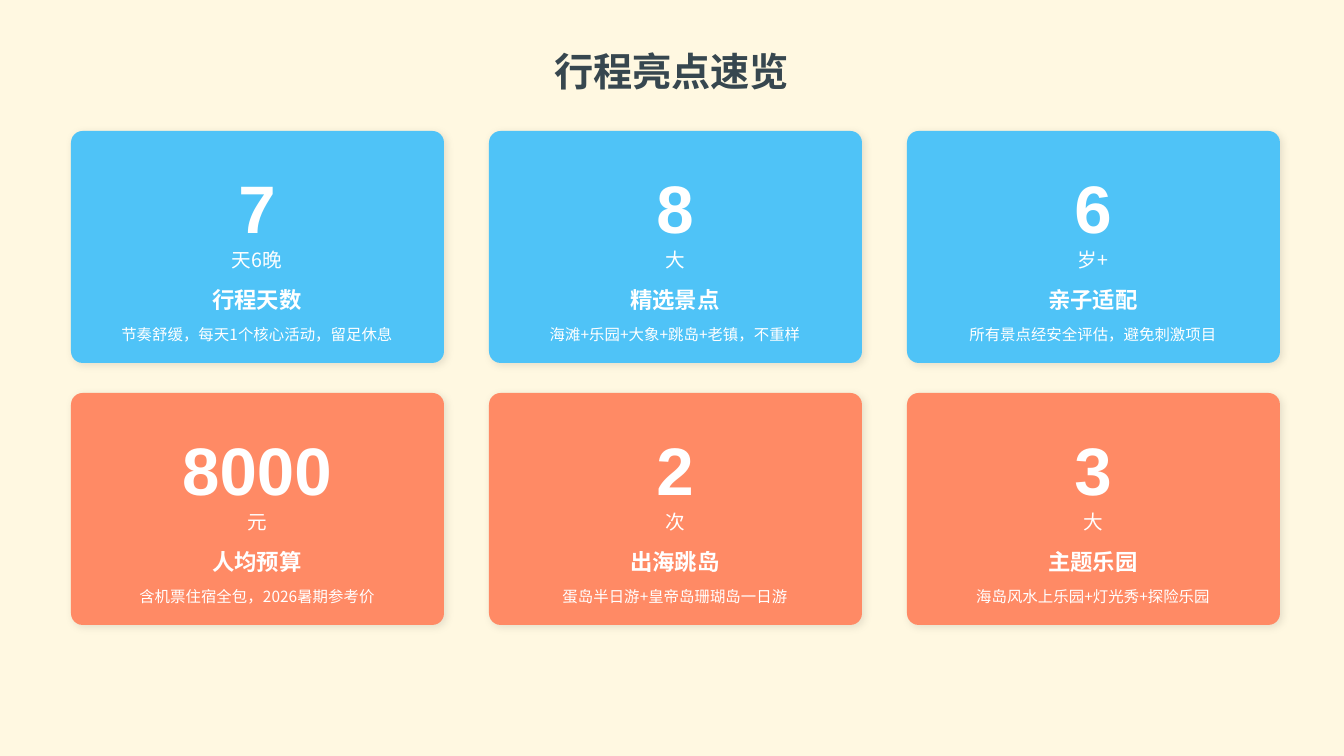
from lxml import etree
from pptx import Presentation
from pptx.dml.color import RGBColor
from pptx.enum.shapes import MSO_SHAPE
from pptx.enum.text import MSO_ANCHOR, PP_ALIGN
from pptx.oxml import parse_xml
from pptx.oxml.ns import nsdecls, qn
from pptx.util import Emu, Pt

CREAM = RGBColor(0xFF, 0xF8, 0xE1)
SLATE = RGBColor(0x37, 0x47, 0x4F)
SKY = RGBColor(0x4F, 0xC3, 0xF7)
CORAL = RGBColor(0xFF, 0x8A, 0x65)
WHITE = RGBColor(0xFF, 0xFF, 0xFF)

CJK = "Noto Sans CJK SC"
LATIN = "Arial"

CARD_LEFT, CARD_TOP = 71, 131
CARD_WIDTH, CARD_HEIGHT = 373, 232
COLUMN_STEP, ROW_STEP = 418, 262
TEXT_INSET, TEXT_WIDTH = 30, 312

CARD_LINES = [
    (30, 91, 48, True, LATIN),
    (111, 35, 14, False, CJK),
    (151, 35, 16, True, CJK),
    (186, 35, 11, False, CJK),
]

CARD_ROWS = [
    (SKY, [
        ("7", "天6晚", "行程天数", "节奏舒缓，每天1个核心活动，留足休息"),
        ("8", "大", "精选景点", "海滩+乐园+大象+跳岛+老镇，不重样"),
        ("6", "岁+", "亲子适配", "所有景点经安全评估，避免刺激项目"),
    ]),
    (CORAL, [
        ("8000", "元", "人均预算", "含机票住宿全包，2026暑期参考价"),
        ("2", "次", "出海跳岛", "蛋岛半日游+皇帝岛珊瑚岛一日游"),
        ("3", "大", "主题乐园", "海岛风水上乐园+灯光秀+探险乐园"),
    ]),
]


def px(pixels):
    return Emu(round(pixels * 914400 / 100.8))


def add_label(slide, text, left, top, width, height, size, bold, font, color):
    box = slide.shapes.add_textbox(px(left), px(top), px(width), px(height))
    frame = box.text_frame
    frame.word_wrap = True
    frame.vertical_anchor = MSO_ANCHOR.MIDDLE
    paragraph = frame.paragraphs[0]
    paragraph.alignment = PP_ALIGN.CENTER
    run = paragraph.add_run()
    run.text = text
    run.font.size = Pt(size)
    run.font.bold = bold
    run.font.name = font
    run.font.color.rgb = color
    east_asian = etree.SubElement(run.font._element, qn("a:ea"))
    east_asian.set("typeface", font)


def add_soft_shadow(shape):
    shape.shadow.inherit = False
    effects = shape._element.spPr.find(qn("a:effectLst"))
    effects.append(parse_xml(
        f'<a:outerShdw {nsdecls("a")} blurRad="{Pt(6)}" dist="{Pt(2)}" '
        'dir="2700000" algn="ctr" rotWithShape="0">'
        '<a:srgbClr val="000000"><a:alpha val="10000"/></a:srgbClr>'
        '</a:outerShdw>'))


def add_card(slide, left, top, color, texts):
    card = slide.shapes.add_shape(
        MSO_SHAPE.ROUNDED_RECTANGLE,
        px(left), px(top), px(CARD_WIDTH), px(CARD_HEIGHT))
    card.adjustments[0] = 0.05
    card.fill.solid()
    card.fill.fore_color.rgb = color
    card.line.fill.background()
    add_soft_shadow(card)
    for text, (offset, height, size, bold, font) in zip(texts, CARD_LINES):
        add_label(slide, text, left + TEXT_INSET, top + offset,
                  TEXT_WIDTH, height, size, bold, font, WHITE)


def main():
    deck = Presentation()
    deck.slide_width, deck.slide_height = px(1344), px(756)
    slide = deck.slides.add_slide(deck.slide_layouts[6])
    slide.background.fill.solid()
    slide.background.fill.fore_color.rgb = CREAM

    add_label(slide, "行程亮点速览", 50, 30, 1243, 81, 28, True, CJK, SLATE)
    for row, (color, cards) in enumerate(CARD_ROWS):
        for column, texts in enumerate(cards):
            add_card(slide, CARD_LEFT + column * COLUMN_STEP,
                     CARD_TOP + row * ROW_STEP, color, texts)

    deck.save("out.pptx")


main()
